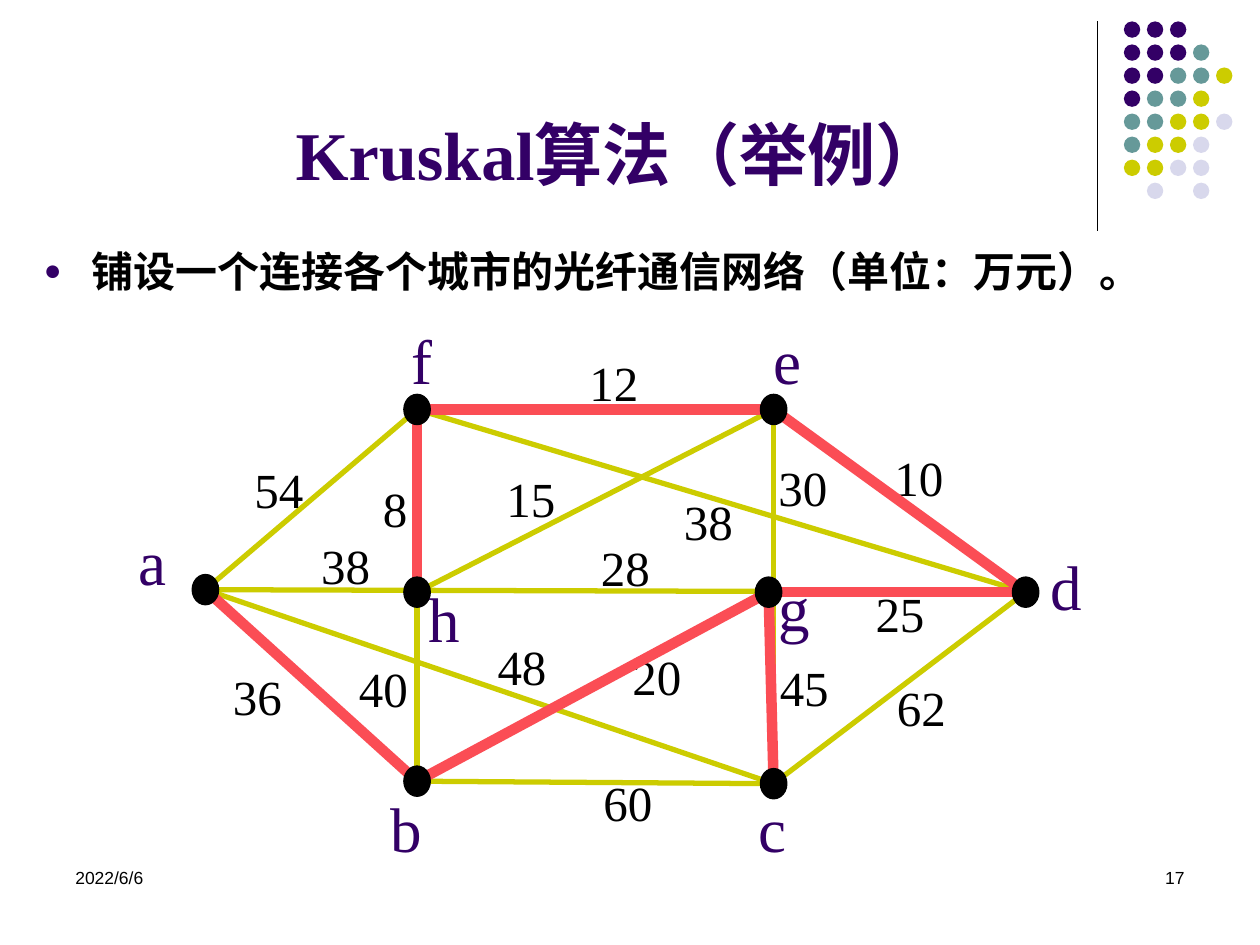
from lxml.etree import SubElement
from pptx import Presentation
from pptx.dml.color import RGBColor
from pptx.enum.shapes import MSO_CONNECTOR, MSO_SHAPE
from pptx.enum.text import MSO_ANCHOR, MSO_AUTO_SIZE, PP_ALIGN
from pptx.oxml.ns import qn
from pptx.util import Inches, Pt

BLACK = RGBColor(0x00, 0x00, 0x00)
PURPLE = RGBColor(0x33, 0x00, 0x66)
TEAL = RGBColor(0x66, 0x99, 0x99)
OLIVE = RGBColor(0xCC, 0xCC, 0x00)
LILAC = RGBColor(0xD8, 0xD8, 0xEC)
RED = RGBColor(0xFB, 0x4D, 0x55)
SERIF, SANS = "Times New Roman", "Arial"

TITLE = "Kruskal算法（举例）"
TASK = "铺设一个连接各个城市的光纤通信网络（单位：万元）。"
DATE, PAGE = "2022/6/6", "17"

DOTS = ["PPP", "PPPT", "PPTTY", "PTTY", "TTYYL", "TYYL", "YYLL", " L L"]
TINTS = {"P": PURPLE, "T": TEAL, "Y": OLIVE, "L": LILAC}

# city: centre of the node, then left, top and width of its name
CITIES = {
    "a": (1.63, 4.68, 1, 4.1, 0.42),
    "b": (3.31, 6.2, 3, 6.22, 0.45),
    "c": (6.14, 6.22, 5.92, 6.22, 0.42),
    "d": (8.14, 4.7, 8.24, 4.3, 0.45),
    "e": (6.14, 3.25, 6.04, 2.5, 0.42),
    "f": (3.31, 3.25, 3.17, 2.5, 0.37),
    "g": (6.1, 4.7, 6.08, 4.46, 0.45),
    "h": (3.31, 4.7, 3.3, 4.55, 0.45),
}
LINKS = ["bg", "he", "ca", "df", "bf", "ce", "ab", "bc", "cd", "ad", "af", "fe", "ed"]
TREE = ["fh", "ed", "fe", "gb", "gd", "ab", "gc"]
COSTS = [
    ("54", 1.92, 3.6), ("60", 4.69, 6.08), ("36", 1.75, 5.24), ("38", 2.45, 4.2),
    ("8", 2.94, 3.75), ("40", 2.75, 5.18), ("48", 3.85, 5), ("20", 4.92, 5.08),
    ("45", 6.09, 5.17), ("28", 4.67, 4.22), ("15", 3.92, 3.67), ("38", 5.33, 3.85),
    ("30", 6.08, 3.58), ("62", 7.02, 5.33), ("25", 6.85, 4.58), ("12", 4.58, 2.75),
    ("10", 7, 3.5),
]

prs = Presentation()
prs.slide_width, prs.slide_height = Inches(10), Inches(7.5)
slide = prs.slides.add_slide(prs.slide_layouts[6])
shapes = slide.shapes


def add_line(start, end, color, width):
    line = shapes.add_connector(MSO_CONNECTOR.STRAIGHT, *map(Inches, (*start, *end)))
    line.line.color.rgb = color
    line.line.width = Pt(width)
    SubElement(line._element.spPr, qn("a:effectLst"))


def add_dot(left, top, width, height, color):
    dot = shapes.add_shape(MSO_SHAPE.OVAL, *map(Inches, (left, top, width, height)))
    dot.shadow.inherit = False
    dot.fill.solid()
    dot.fill.fore_color.rgb = color
    dot.line.fill.background()
    return dot


def add_text(text, box, size, color=BLACK, font=SERIF, bold=False, align=PP_ALIGN.LEFT):
    frame = shapes.add_textbox(*map(Inches, box)).text_frame
    frame.word_wrap = True
    para = frame.paragraphs[0]
    para.alignment = align
    run = para.add_run()
    run.text = text
    run.font.size, run.font.name, run.font.bold = Pt(size), font, bold
    run.font.color.rgb = color
    return frame


def add_label(text, box, size, color=BLACK):
    """Add a one-line text whose box fits the words."""
    frame = add_text(text, box, size, color)
    frame.word_wrap = False
    frame.auto_size = MSO_AUTO_SIZE.SHAPE_TO_FIT_TEXT


def add_bullet(para, indent):
    props = para._p.get_or_add_pPr()
    props.set("marL", str(Inches(indent)))
    props.set("indent", str(-Inches(indent)))
    tint = SubElement(props, qn("a:buClr"))
    SubElement(tint, qn("a:srgbClr")).set("val", str(PURPLE))
    SubElement(props, qn("a:buSzPct")).set("val", "70000")
    SubElement(props, qn("a:buFont")).set("typeface", SANS)
    SubElement(props, qn("a:buChar")).set("char", "●")


def add_links(pairs, color, width):
    for start, end in pairs:
        add_line(CITIES[start][:2], CITIES[end][:2], color, width)


# Corner ornament
add_line((8.71, 0.17), (8.71, 1.83), BLACK, 0.75)
STEP = 1.28 / 7
for row, marks in enumerate(DOTS):
    for col, mark in enumerate(marks):
        if mark in TINTS:
            add_dot(8.92 + col * STEP, 0.17 + row * STEP, 0.13, 0.13, TINTS[mark])

# Title and task
title = add_text(TITLE, (0.67, 0.76, 8.5, 0.83), 39, PURPLE, bold=True, align=PP_ALIGN.CENTER)
title.vertical_anchor = MSO_ANCHOR.BOTTOM
task = add_text(TASK, (0.25, 1.86, 9.4, 0.63), 24, bold=True, align=PP_ALIGN.JUSTIFY)
para = task.paragraphs[0]
para.line_spacing, para.space_before = 1.1, Pt(4.8)
add_bullet(para, 0.38)

# Graph: all links, their costs, the spanning tree, then the cities
add_links(LINKS, OLIVE, 3)
for cost, left, top in COSTS:
    add_label(cost, (left, top, 0.2 + 0.195 * len(cost), 0.57), 28)
for name, (_, _, left, top, width) in CITIES.items():
    add_label(name, (left, top, width, 0.7), 36, PURPLE)
add_links(TREE, RED, 6)
WIDE, HIGH = 0.21, 0.24
for x, y, *_ in CITIES.values():
    node = add_dot(x - WIDE / 2, y - HIGH / 2, WIDE, HIGH, BLACK)
    node.line.color.rgb = BLACK
    node.line.width = Pt(0.75)

# Footer
add_text(DATE, (0.5, 6.83, 2.33, 0.5), 10, font=SANS)
add_text(PAGE, (7.17, 6.83, 2.33, 0.5), 10, font=SANS, align=PP_ALIGN.RIGHT)

prs.save("out.pptx")
